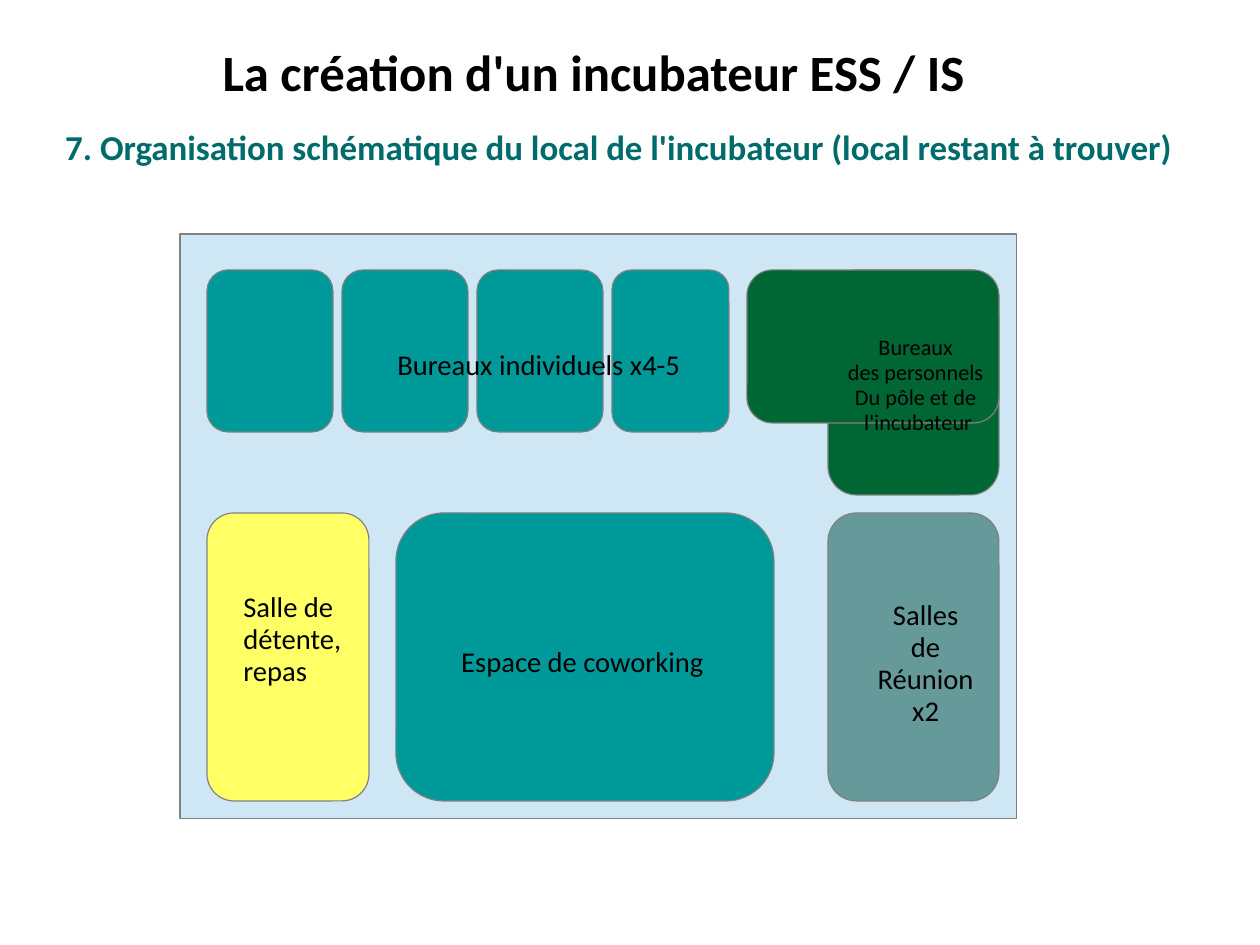
"""Build the slide showing the schematic layout of the incubator premises."""
from pptx import Presentation
from pptx.dml.color import RGBColor
from pptx.enum.shapes import MSO_SHAPE as Preset
from pptx.enum.text import MSO_ANCHOR as Anchor, MSO_AUTO_SIZE as AutoSize, PP_ALIGN as Align
from pptx.util import Cm, Pt

COLOURS = {
    "text": "000000",
    "heading": "006B6B",
    "outline": "808080",
    "floor": "CFE7F5",
    "teal": "009999",
    "green": "006633",
    "grey": "669999",
    "yellow": "FFFF66",
}
FONT = "Calibri"
LEFT, TOP_ROW, BOTTOM_ROW = 4.6, 6.0, 11.4
OFFICE_PITCH, OFFICE_HEIGHT = 3.0, 3.6
OFFICE_WIDTHS = (2.8, 2.8, 2.8, 2.6)
RIGHT, RIGHT_WIDTH = 18.4, 3.8
BOTTOM_HEIGHT = 6.4


def colour(name):
    return RGBColor.from_string(COLOURS[name])


def place(element, left, top, width, height):
    element.left, element.top = Cm(left), Cm(top)
    element.width, element.height = Cm(width), Cm(height)


def write(frame, text, size=18, ink="text", bold=False, align=Align.LEFT,
          spacing=0.93, wrap=False, anchor=Anchor.TOP, margins=(0.25, 0.13)):
    frame.word_wrap = wrap
    frame.auto_size = AutoSize.SHAPE_TO_FIT_TEXT
    frame.vertical_anchor = anchor
    frame.margin_left = frame.margin_right = Cm(margins[0])
    frame.margin_top = frame.margin_bottom = Cm(margins[1])
    frame.text = text
    for paragraph in frame.paragraphs:
        paragraph.alignment = align
        paragraph.line_spacing = spacing
        paragraph.space_before = Pt(0)
        font = paragraph.font
        font.name, font.size, font.bold = FONT, Pt(size), bold
        font.color.rgb = colour(ink)


def add_label(slide, box, text, **style):
    label = slide.shapes.add_textbox(*map(Cm, box))
    write(label.text_frame, text, **style)


def add_room(slide, box, fill, preset=Preset.ROUNDED_RECTANGLE):
    room = slide.shapes.add_shape(preset, *map(Cm, box))
    room.shadow.inherit = False
    room.fill.solid()
    room.fill.fore_color.rgb = colour(fill)
    room.line.color.rgb = colour("outline")
    room.line.width = Pt(0)


def add_rooms(slide):
    add_room(slide, (4, 5.2, 18.6, 13), "floor", Preset.RECTANGLE)
    for index, width in enumerate(OFFICE_WIDTHS):
        left = LEFT + index * OFFICE_PITCH
        add_room(slide, (left, TOP_ROW, width, OFFICE_HEIGHT), "teal")
    add_room(slide, (RIGHT, TOP_ROW, RIGHT_WIDTH, 5), "green")
    add_room(slide, (16.6, TOP_ROW, 5.6, 3.4), "green")
    for left, width, fill in ((LEFT, 3.6, "yellow"), (8.8, 8.4, "teal"),
                              (RIGHT, RIGHT_WIDTH, "grey")):
        add_room(slide, (left, BOTTOM_ROW, width, BOTTOM_HEIGHT), fill)


def add_room_labels(slide):
    add_label(slide, (8.58, 7.64, 6.81, 0.96), "Bureaux individuels x4-5")
    add_label(slide, (18.59, 7.34, 3.63, 2.46),
              "Bureaux \ndes personnels \nDu pôle et de \nl'incubateur",
              size=14, align=Align.CENTER)
    add_label(slide, (5.16, 13.03, 2.84, 2.39), "Salle de\ndétente,\nrepas")
    add_label(slide, (10, 14.25, 5.89, 0.96), "Espace de coworking")
    add_label(slide, (19.2, 13.21, 2.74, 2.39), "Salles de\nRéunion\nx2",
              align=Align.CENTER)


def main():
    deck = Presentation()
    deck.slide_width, deck.slide_height = Cm(28), Cm(21)
    slide = deck.slides.add_slide(deck.slide_layouts[5])
    title = slide.shapes.title
    place(title, 0.6, 0.4, 25.2, 2)
    write(title.text_frame, "La création d'un incubateur ESS / IS", size=32,
          bold=True, align=Align.CENTER, spacing=1.27, wrap=True,
          anchor=Anchor.MIDDLE, margins=(0, 0))
    add_label(slide, (1.2, 2.4, 25.2, 2.6),
              "7. Organisation schématique du local de l'incubateur (local restant à trouver)",
              size=22, ink="heading", bold=True, spacing=1.27, wrap=True)
    add_rooms(slide)
    add_room_labels(slide)
    deck.save("out.pptx")


if __name__ == "__main__":
    main()
